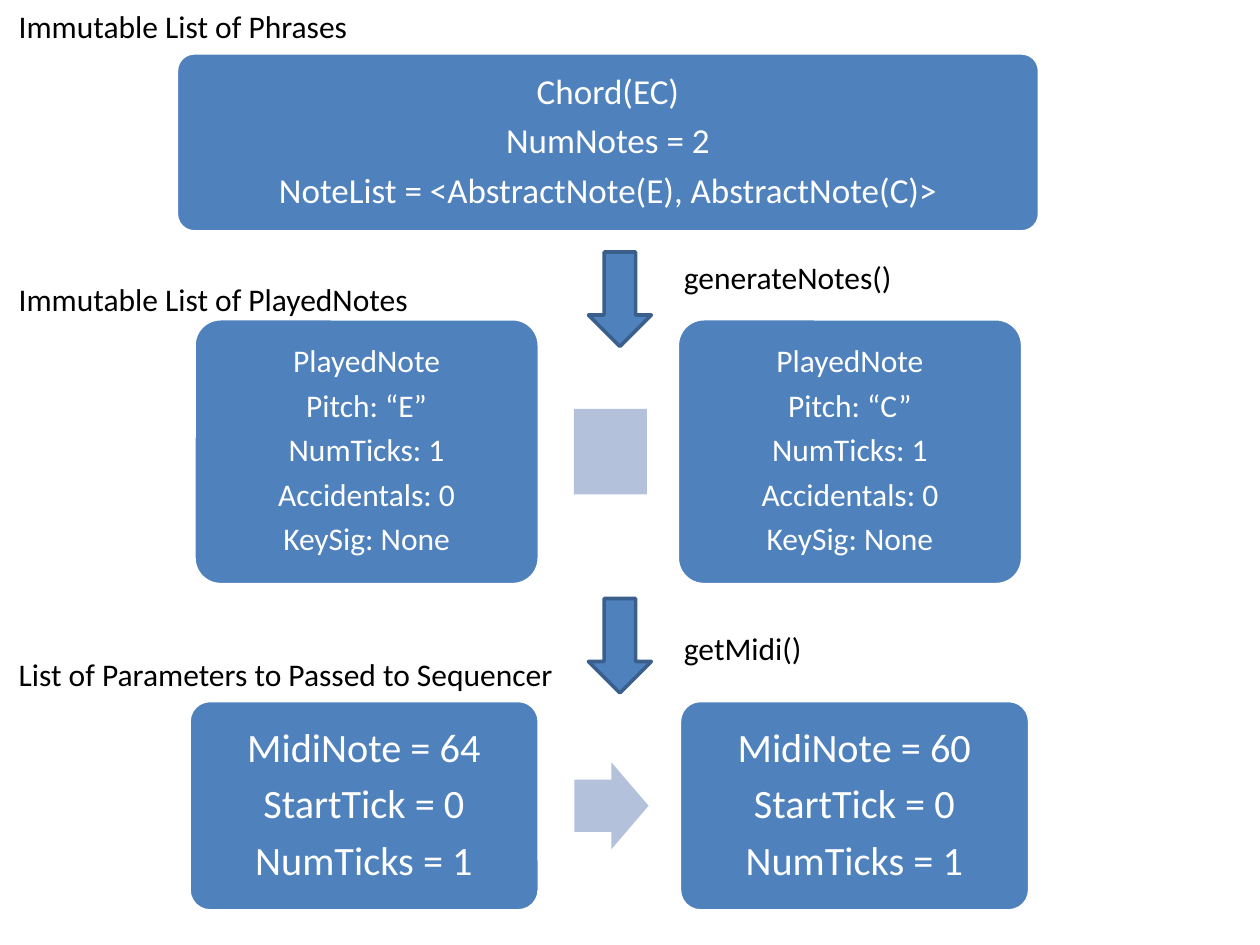
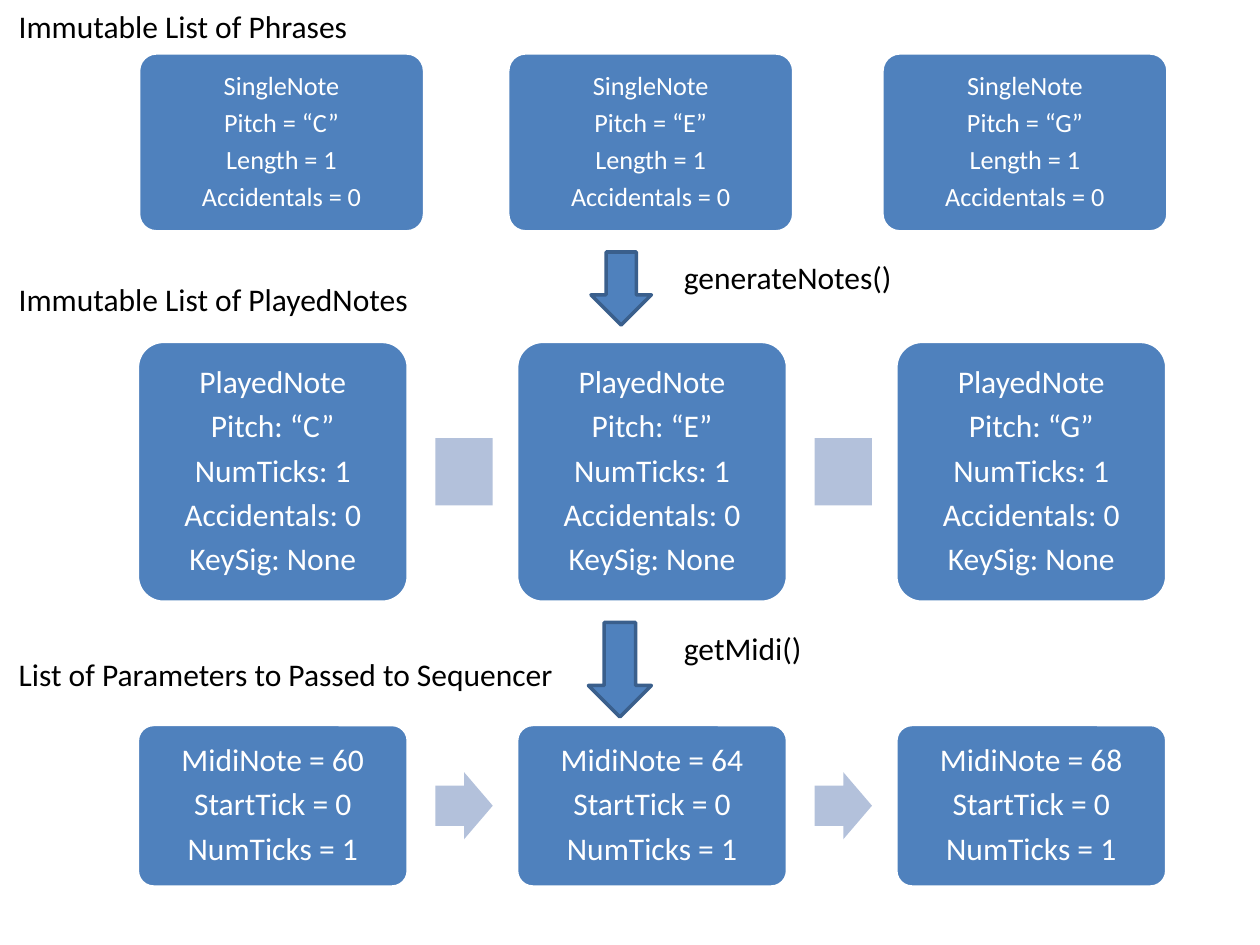
import pptx
import pptx.dml.color
import pptx.enum.shapes
import pptx.enum.text
import pptx.util

RGBColor = pptx.dml.color.RGBColor
Shape = pptx.enum.shapes.MSO_SHAPE
Pt = pptx.util.Pt

BLUE = RGBColor(0x4F, 0x81, 0xBD)
DARK_BLUE = RGBColor(0x3A, 0x5F, 0x8C)
PALE_BLUE = RGBColor(0xB3, 0xC1, 0xDB)
WHITE = RGBColor(0xFF, 0xFF, 0xFF)
BLACK = RGBColor(0, 0, 0)
FONT = "Calibri"
LABEL_SIZE = 18

SLIDE_WIDTH = pptx.util.Inches(10)
SLIDE_HEIGHT = pptx.util.Inches(7.5)
GRID_COLUMNS = 100
GRID_ROWS = 75

STAGE_LABELS = [
    ("Immutable List of Phrases", 0.1, 41.5, True),
    ("Immutable List of PlayedNotes", 21.7, 33.3, False),
    ("List of Parameters to Passed to Sequencer", 51.5, 44.9, False),
]
CALL_LABELS = [("generateNotes()", 20, 18.7), ("getMidi()", 49.4, 11.5)]


def grid_frame(left, top, width, height):
    column = SLIDE_WIDTH / GRID_COLUMNS
    row = SLIDE_HEIGHT / GRID_ROWS
    return [round(length) for length in
            (left * column, top * row, width * column, height * row)]


def add_run(paragraph, text, size, color):
    run = paragraph.add_run()
    run.text = text
    run.font.name = FONT
    run.font.size = Pt(size)
    run.font.color.rgb = color


def add_filled_shape(slide, kind, frame, fill, line=None):
    shape = slide.shapes.add_shape(kind, *grid_frame(*frame))
    shape.shadow.inherit = False
    shape.fill.solid()
    shape.fill.fore_color.rgb = fill
    if line is None:
        shape.line.fill.background()
    else:
        shape.line.color.rgb = line
        shape.line.width = Pt(2)
    return shape


def add_box(slide, frame, lines, size):
    box = add_filled_shape(slide, Shape.ROUNDED_RECTANGLE, frame, BLUE, WHITE)
    box.adjustments[0] = 0.1
    text_frame = box.text_frame
    text_frame.word_wrap = True
    text_frame.vertical_anchor = pptx.enum.text.MSO_ANCHOR.MIDDLE
    inset = Pt(0.3 * size)
    text_frame.margin_left = text_frame.margin_right = inset
    text_frame.margin_top = text_frame.margin_bottom = inset
    for index, line in enumerate(lines):
        paragraph = text_frame.add_paragraph() if index else text_frame.paragraphs[0]
        paragraph.alignment = pptx.enum.text.PP_ALIGN.CENTER
        paragraph.line_spacing = 0.9
        paragraph.space_after = Pt(0.33 * size)
        add_run(paragraph, line, size, WHITE)


def add_sequence(slide, frame, contents, size, link_kind):
    left, top, width, height = frame
    link_width, link_height = 0.212 * width, 0.248 * width
    link_top = top + (height - link_height) / 2
    for index, lines in enumerate(contents):
        box_left = left + index * 1.4 * width
        add_box(slide, (box_left, top, width, height), lines, size)
        if index < len(contents) - 1:
            link_left = box_left + 1.1 * width
            link = add_filled_shape(
                slide, link_kind, (link_left, link_top, link_width, link_height), PALE_BLUE)
            if link_kind == Shape.RIGHT_ARROW:
                link.adjustments[0] = 0.6


def add_label(slide, text, left, top, width, wrap=False):
    label = slide.shapes.add_textbox(*grid_frame(left, top, width, 4))
    label.text_frame.word_wrap = wrap
    label.text_frame.auto_size = pptx.enum.text.MSO_AUTO_SIZE.SHAPE_TO_FIT_TEXT
    add_run(label.text_frame.paragraphs[0], text, LABEL_SIZE, BLACK)


def add_stages(slide, arrow_frames):
    for text, top, width, wrap in STAGE_LABELS:
        add_label(slide, text, 0.5, top, width, wrap)
    for text, top, width in CALL_LABELS:
        add_label(slide, text, 53.3, top, width)
    for frame in arrow_frames:
        add_filled_shape(slide, Shape.DOWN_ARROW, frame, BLUE, DARK_BLUE)


def single_note(pitch):
    return ["SingleNote", f"Pitch = “{pitch}”", "Length = 1", "Accidentals = 0"]


def played_note(pitch):
    return ["PlayedNote", f"Pitch: “{pitch}”", "NumTicks: 1", "Accidentals: 0", "KeySig: None"]


def midi_note(number):
    return [f"MidiNote = {number}", "StartTick = 0", "NumTicks = 1"]


def add_note_rows(slide, pitches, numbers, played_frame, midi_frame, midi_size):
    add_sequence(slide, played_frame, [played_note(pitch) for pitch in pitches],
                 18, Shape.RECTANGLE)
    add_sequence(slide, midi_frame, [midi_note(number) for number in numbers],
                 midi_size, Shape.RIGHT_ARROW)


def build_chord_slide(slide):
    chord = ["Chord(EC)", "NumNotes = 2", "NoteList = <AbstractNote(E), AbstractNote(C)>"]
    add_box(slide, (14, 4.2, 68.5, 14.2), chord, 20)
    add_note_rows(slide, "EC", [64, 60],
                  (15.4, 25.3, 27.4, 21.1), (15, 55.6, 27.8, 16.7), 23)
    add_stages(slide, [(46.7, 20, 5, 7.5), (46.7, 47.5, 5, 7.5)])


def build_single_notes_slide(slide):
    pitches = "CEG"
    for pitch, left in zip(pitches, (11, 40.3, 70)):
        add_box(slide, (left, 4.2, 22.7, 14.2), single_note(pitch), 15)
    add_note_rows(slide, pitches, [60, 64, 68],
                  (10.9, 27.1, 21.5, 20.7), (10.9, 57.5, 21.5, 12.9), 18)
    add_stages(slide, [(46.9, 20, 4.8, 5.8), (46.7, 49.4, 5, 7.5)])


def main():
    presentation = pptx.Presentation()
    presentation.slide_width = SLIDE_WIDTH
    presentation.slide_height = SLIDE_HEIGHT
    blank_layout = presentation.slide_layouts[6]
    for build_slide in (build_chord_slide, build_single_notes_slide):
        build_slide(presentation.slides.add_slide(blank_layout))
    presentation.save("out.pptx")


if __name__ == "__main__":
    main()
